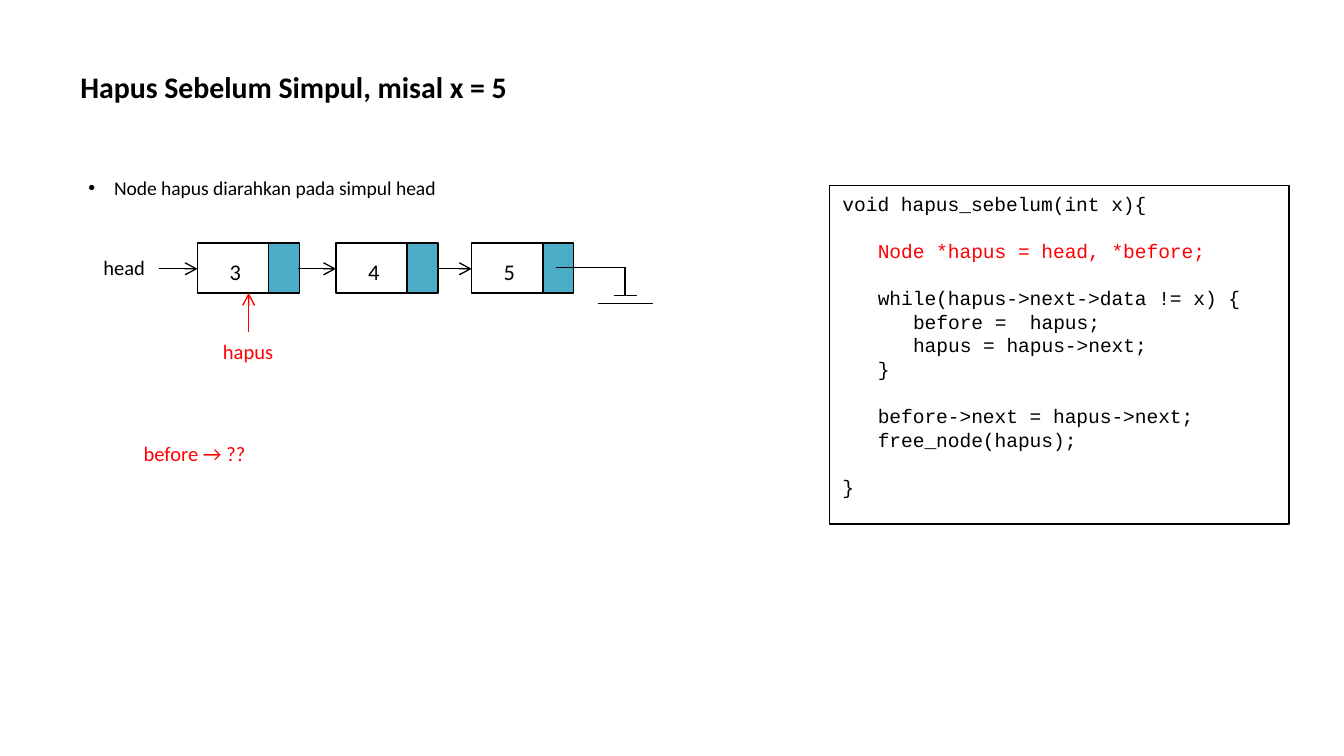
from dataclasses import dataclass

from lxml import etree
from pptx import Presentation
from pptx.dml.color import RGBColor
from pptx.enum.shapes import MSO_CONNECTOR, MSO_SHAPE
from pptx.enum.text import MSO_ANCHOR, PP_ALIGN
from pptx.oxml.ns import qn
from pptx.util import Inches, Pt

STRAIGHT = MSO_CONNECTOR.STRAIGHT
RECTANGLE = MSO_SHAPE.RECTANGLE
TOP, MIDDLE = MSO_ANCHOR.TOP, MSO_ANCHOR.MIDDLE
LEFT = PP_ALIGN.LEFT


@dataclass(frozen=True)
class Theme:
    """Colours, fonts and sizes of the slide."""
    ink: RGBColor = RGBColor(0, 0, 0)
    accent: RGBColor = RGBColor(255, 0, 0)
    pointer: RGBColor = RGBColor(0x4B, 0xAC, 0xC6)
    body_font: str = "Calibri"
    code_font: str = "Courier New"
    title_size: float = 16
    value_size: float = 12
    label_size: float = 11
    body_size: float = 10.5
    code_pitch: float = 12.6
    code_indent: float = 18.9
    line_width: float = 0.75


THEME = Theme()

# Each line of code: indent level, blank line before it, text, highlighted
CODE = [
    (0, False, "void hapus_sebelum(int x){", False),
    (1, True, "Node *hapus = head, *before;", True),
    (1, True, "while(hapus->next->data != x) {", False),
    (2, False, "before =  hapus;", False),
    (2, False, "hapus = hapus->next;", False),
    (1, False, "}", False),
    (1, True, "before->next = hapus->next;", False),
    (1, False, "free_node(hapus);", False),
    (0, True, "}", False),
]


def style(para, size, color=THEME.ink, font=THEME.body_font, bold=False):
    """Format every run of a paragraph."""
    for span in para.runs:
        span.font.size = Pt(size)
        span.font.name = font
        span.font.color.rgb = color
        span.font.bold = bold


def add_text(page, box, text, size, color=THEME.ink, bold=False, anchor=TOP, wrap=True):
    """Place one paragraph in a text box and return the paragraph."""
    frame = page.shapes.add_textbox(*map(Inches, box)).text_frame
    frame.text = text
    frame.word_wrap = wrap
    frame.vertical_anchor = anchor
    style(frame.paragraphs[0], size, color, bold=bold)
    return frame.paragraphs[0]


def add_rectangle(page, box, fill=None):
    """Place an outlined rectangle, filled if a colour is given."""
    shape = page.shapes.add_shape(RECTANGLE, *map(Inches, box))
    shape.shadow.inherit = False
    if fill is None:
        shape.fill.background()
    else:
        shape.fill.solid()
        shape.fill.fore_color.rgb = fill
    shape.line.color.rgb = THEME.ink
    shape.line.width = Pt(THEME.line_width)
    return shape


def add_line(page, start, end, color=THEME.ink, arrow=False):
    """Draw a straight line, with an open arrowhead at its end if asked."""
    line = page.shapes.add_connector(STRAIGHT, *map(Inches, start + end))
    line.line.color.rgb = color
    line.line.width = Pt(THEME.line_width)
    if arrow:
        outline = line.line._get_or_add_ln()
        etree.SubElement(outline, qn("a:tailEnd"), type="arrow")
    etree.SubElement(line._element.spPr, qn("a:effectLst"))


def add_bullet(page, box, text):
    """Place a bulleted line."""
    para = add_text(page, box, text, THEME.body_size, anchor=MIDDLE)
    props = para._p.get_or_add_pPr()
    props.set("marL", str(Inches(0.19)))
    props.set("indent", str(-Inches(0.19)))
    etree.SubElement(props, qn("a:buFont"), typeface="Arial")
    etree.SubElement(props, qn("a:buChar"), char="•")


def add_code(page, box):
    """Place the framed code listing."""
    frame = add_rectangle(page, box).text_frame
    frame.word_wrap = True
    frame.vertical_anchor = TOP
    frame.text = "\n".join(text for _, _, text, _ in CODE)
    for para, (level, gap, _, marked) in zip(frame.paragraphs, CODE):
        para.alignment = LEFT
        para.line_spacing = Pt(THEME.code_pitch)
        para.space_before = Pt(THEME.code_pitch if gap else 0)
        para._p.get_or_add_pPr().set("marL", str(Pt(THEME.code_indent * level)))
        style(para, THEME.body_size, THEME.accent if marked else THEME.ink, THEME.code_font)


def add_node(page, box, value):
    """Draw a list node: a value cell and a pointer cell."""
    left, top, width, height = box
    add_rectangle(page, box)
    add_rectangle(page, (left + width - 0.22, top, 0.23, height), THEME.pointer)
    add_text(page, (left + 0.14, top + 0.06, 0.26, 0.3), value, THEME.value_size)


def add_ground(page, left, top):
    """Draw the null symbol that ends the list."""
    stem = left + 0.51
    add_line(page, (left, top), (stem, top))
    add_line(page, (stem, top), (stem, top + 0.21))
    for start, end, drop in ((0.43, 0.6, 0.21), (0.31, 0.72, 0.27)):
        add_line(page, (left + start, top + drop), (left + end, top + drop))


def add_linked_list(page, box):
    """Draw the list with its head label, links, end and hapus marker."""
    left, top, width, height = box
    middle = top + 0.19
    node_width = 0.75
    add_text(page, (left, top + 0.04, 0.51, 0.29), "head", THEME.label_size, wrap=False)
    link_start = left + 0.51
    for offset, value in ((0.8, "3"), (1.83, "4"), (2.84, "5")):
        node_left = left + offset
        add_line(page, (link_start, middle), (node_left, middle), arrow=True)
        add_node(page, (node_left, top, node_width, height), value)
        link_start = node_left + node_width
    add_ground(page, left + width - 0.72, middle - 0.01)

    marker = left + 1.18
    bottom = top + height
    add_line(page, (marker, bottom + 0.29), (marker, bottom), THEME.accent, arrow=True)
    add_text(page, (marker - 0.29, bottom + 0.29, 0.58, 0.29), "hapus",
             THEME.label_size, THEME.accent, wrap=False)


def build_slide(deck):
    """Add the slide and lay out its regions."""
    page = deck.slides.add_slide(deck.slide_layouts[6])
    add_text(page, (0.5, 0.23, 3.76, 0.83), "Hapus Sebelum Simpul, misal x = 5",
             THEME.title_size, bold=True, anchor=MIDDLE)
    add_code(page, (6.17, 1.38, 3.42, 2.52))
    add_bullet(page, (0.56, 0.98, 3.09, 0.83), "Node hapus diarahkan pada simpul head")
    add_linked_list(page, (0.67, 1.81, 4.19, 0.37))
    add_text(page, (0.97, 3.23, 0.98, 0.29), "before → ??",
             THEME.label_size, THEME.accent, wrap=False)


deck = Presentation()
deck.slide_width = Inches(10)
deck.slide_height = deck.slide_width * 9 // 16
build_slide(deck)
deck.save("out.pptx")
